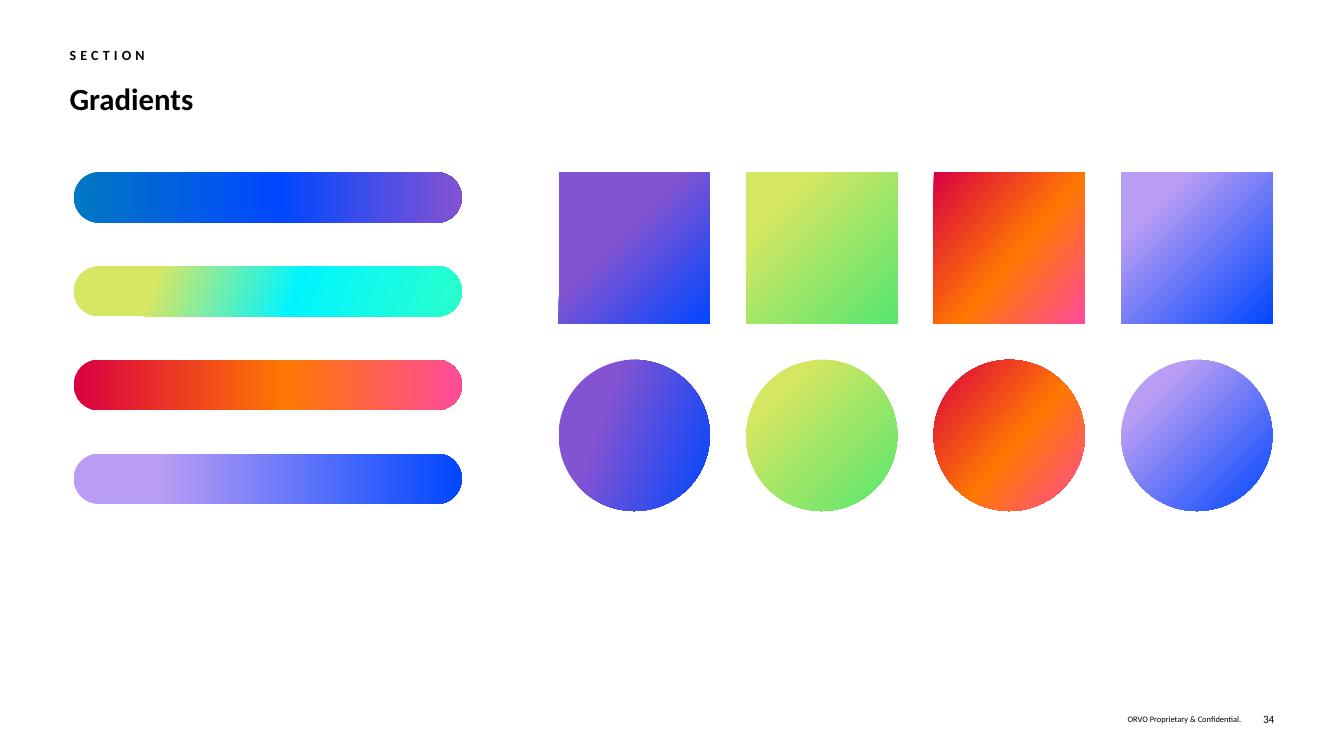
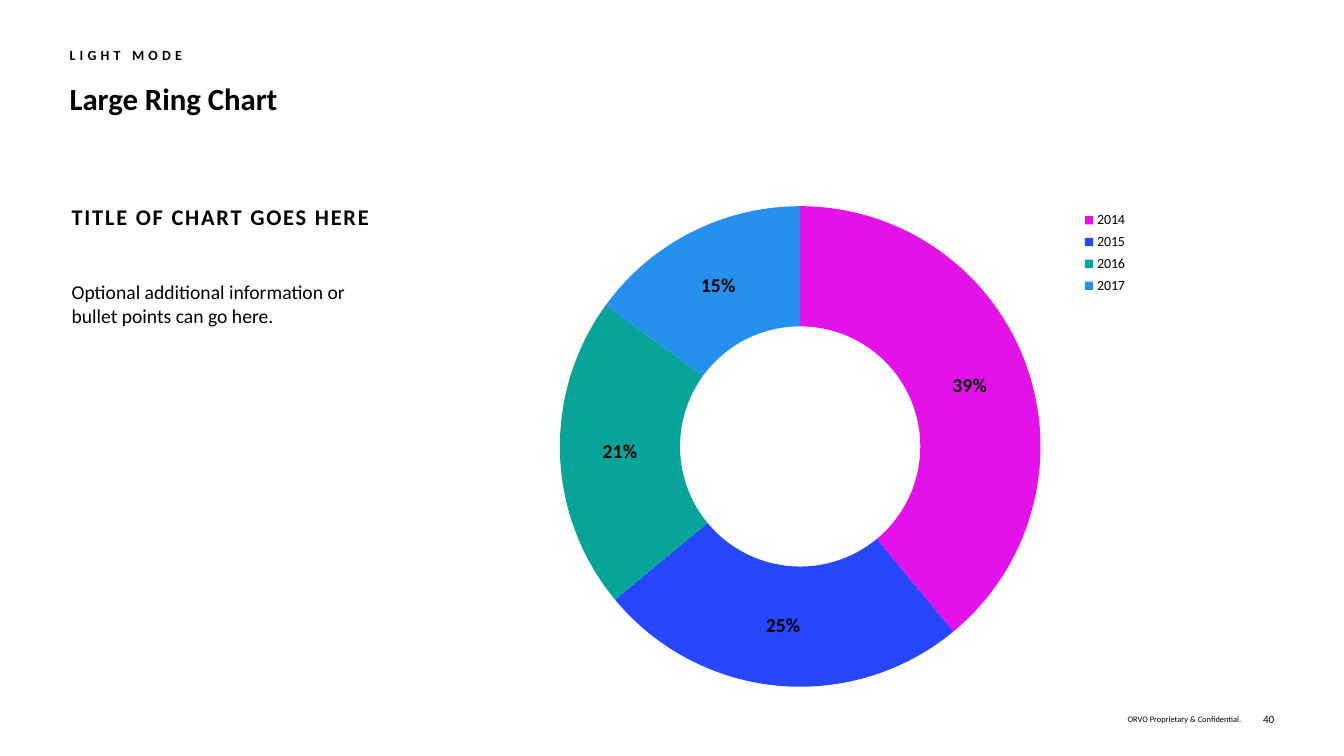
"""Build two slides: a gradient palette and a large ring chart."""
from lxml.etree import SubElement
from pptx import Presentation
from pptx.chart.data import CategoryChartData
from pptx.dml.color import RGBColor
from pptx.enum.chart import XL_CHART_TYPE as Chart, XL_LEGEND_POSITION as Legend
from pptx.enum.shapes import MSO_SHAPE as Shape
from pptx.enum.text import MSO_ANCHOR as Anchor, PP_ALIGN as Align
from pptx.oxml.ns import qn
from pptx.util import Inches, Pt

FONT = "Calibri"
BLACK, FOOTER_INK = "000000", "010000"
FOOTER = "ORVO Proprietary & Confidential."

OCEAN = [(0, "0078C2"), (53, "0047FF"), (100, "8353D2")]
LAGOON = [(21, "D8E763"), (57, "01F5FF"), (100, "2AFFCC")]
SUNSET = [(0, "DA0042"), (55, "FF7802"), (100, "FF4B9B")]
LILAC = [(0, "B99DF4"), (22, "B99DF4"), (100, "0047FF")]
VIOLET = [(0, "8353D2"), (41, "8353D2"), (100, "0047FF")]
VIOLET_SHORT = [(0, "8353D2"), (31, "8353D2"), (100, "0047FF")]
LIME = [(0, "D5E662"), (22, "D5E662"), (100, "55E66F")]

BARS = [(OCEAN, 0), (LAGOON, 20), (SUNSET, 0), (LILAC, 0)]
SQUARES = [(VIOLET, 45), (LIME, 45), (SUNSET, 40), (LILAC, 45)]
CIRCLES = [(VIOLET_SHORT, 20)] + SQUARES[1:]
SWATCH_ROWS = [(Shape.RECTANGLE, SQUARES), (Shape.OVAL, CIRCLES)]
SWATCH_TOP, SWATCH_STEP = 1.71, 1.86
BAR_STEP = SWATCH_STEP / 2

RING = [("2014", 39, "E312E8"), ("2015", 25, "2747FF"),
        ("2016", 21, "08A499"), ("2017", 15, "2590EE")]
PLOT_LAYOUT = {"x": 0.156, "y": 0.07, "w": 0.687, "h": 0.822}
LEGEND_LAYOUT = {"x": 0.9, "y": 0.07, "w": 0.07, "h": 0.16}


def rgb(color):
    return RGBColor.from_string(color)


def style(font, size, color=BLACK, bold=False):
    font.name, font.size, font.bold = FONT, Pt(size), bold
    font.color.rgb = rgb(color)


def add_text(page, area, text, size, color=BLACK, bold=False, spacing=0,
             insets=(0, 0, 0, 0), align=Align.LEFT, anchor=Anchor.TOP,
             line_spacing=None):
    box = page.shapes.add_textbox(*map(Inches, area))
    frame = box.text_frame
    frame.word_wrap = True
    frame.vertical_anchor = anchor
    (frame.margin_left, frame.margin_top,
     frame.margin_right, frame.margin_bottom) = map(Inches, insets)
    para = frame.paragraphs[0]
    para.alignment = align
    para.line_spacing = line_spacing
    span = para.add_run()
    span.text = text
    style(span.font, size, color, bold)
    if spacing:
        span.font._element.set("spc", str(round(spacing * 100)))


def add_page(deck, section, title, number):
    page = deck.slides.add_slide(deck.slide_layouts[6])
    footer_style = {"color": FOOTER_INK, "align": Align.RIGHT,
                    "anchor": Anchor.MIDDLE}
    add_text(page, (10.43, 7.01, 1.88, 0.24), FOOTER, 6, **footer_style)
    add_text(page, (12.37, 7.01, 0.27, 0.24), number, 8, **footer_style)
    add_text(page, (0.69, 0.79, 11.95, 0.37), title, 22, bold=True)
    add_text(page, (0.69, 0.46, 3.97, 0.25), section, 10, bold=True, spacing=3)
    return page


def add_swatch(page, kind, area, stops, angle):
    shape = page.shapes.add_shape(kind, *map(Inches, area))
    shape.shadow.inherit = False
    shape.line.fill.background()
    shape.fill.gradient()
    gradient = shape._element.spPr.find(qn("a:gradFill"))
    gradient.clear()
    stop_list = SubElement(gradient, qn("a:gsLst"))
    for percent, color in stops:
        stop = SubElement(stop_list, qn("a:gs"), pos=str(percent * 1000))
        SubElement(stop, qn("a:srgbClr"), val=color)
    SubElement(gradient, qn("a:lin"), ang=str(angle * 60000), scaled="0")
    return shape


def set_layout(element, layout, inner=False):
    """Place a plot area or legend by fractions of the chart."""
    holder = element.find(qn("c:layout"))
    if holder is None:
        holder = SubElement(element, qn("c:layout"))
        element.remove(holder)
        position = element.find(qn("c:legendPos"))
        if position is None:
            element.insert(0, holder)
        else:
            position.addnext(holder)
    manual = SubElement(holder, qn("c:manualLayout"))
    if inner:
        SubElement(manual, qn("c:layoutTarget"), val="inner")
    for axis in "xy":
        SubElement(manual, qn(f"c:{axis}Mode"), val="edge")
    for side, fraction in layout.items():
        SubElement(manual, qn(f"c:{side}"), val=str(fraction))


def add_ring(page):
    data = CategoryChartData()
    data.categories = [year for year, _, _ in RING]
    data.add_series("Series 1", [value for _, value, _ in RING])
    area = map(Inches, (4.47, 1.64, 6.94, 5.8))
    chart = page.shapes.add_chart(Chart.DOUGHNUT, *area, data).chart
    chart.has_title = False
    style(chart.font, 10)
    chart.has_legend = True
    chart.legend.position = Legend.CORNER
    chart.legend.include_in_layout = True
    style(chart.legend.font, 10)

    plot = chart.plots[0]
    plot.vary_by_categories = True
    plot._element.find(qn("c:holeSize")).set("val", "75")
    for index, (_, _, color) in enumerate(RING):
        fill = plot.series[0].points[index].format.fill
        fill.solid()
        fill.fore_color.rgb = rgb(color)
    plot.has_data_labels = True
    labels = plot.data_labels
    labels.show_percentage, labels.show_value = True, False
    labels.number_format, labels.number_format_is_linked = "0%", False
    style(labels.font, 14, bold=True)

    set_layout(plot._element.getparent(), PLOT_LAYOUT, inner=True)
    set_layout(chart.legend._element, LEGEND_LAYOUT)


def build_gradients(deck):
    page = add_page(deck, "SECTION", "Gradients", "34")
    for row, (stops, angle) in enumerate(BARS):
        area = (0.73, SWATCH_TOP + row * BAR_STEP, 3.85, 0.5)
        bar = add_swatch(page, Shape.ROUNDED_RECTANGLE, area, stops, angle)
        bar.adjustments[0] = 0.5
    for row, (kind, swatches) in enumerate(SWATCH_ROWS):
        for column, (stops, angle) in enumerate(swatches):
            area = (5.54 + column * SWATCH_STEP,
                    SWATCH_TOP + row * SWATCH_STEP, 1.5, 1.5)
            add_swatch(page, kind, area, stops, angle)


def build_ring(deck):
    page = add_page(deck, "LIGHT MODE", "Large Ring Chart", "40")
    add_ring(page)
    insets = (0, 0.05, 0.1, 0.05)
    add_text(page, (0.71, 1.83, 4.01, 0.46), "TITLE OF CHART GOES HERE", 16,
             bold=True, spacing=1.3, insets=insets, line_spacing=1.5)
    add_text(page, (0.71, 2.73, 2.93, 2.2),
             "Optional additional information or bullet points can go here.",
             14, insets=insets)


def main():
    deck = Presentation()
    deck.slide_width, deck.slide_height = Inches(13.33), Inches(7.5)
    build_gradients(deck)
    build_ring(deck)
    deck.save("out.pptx")


if __name__ == "__main__":
    main()
